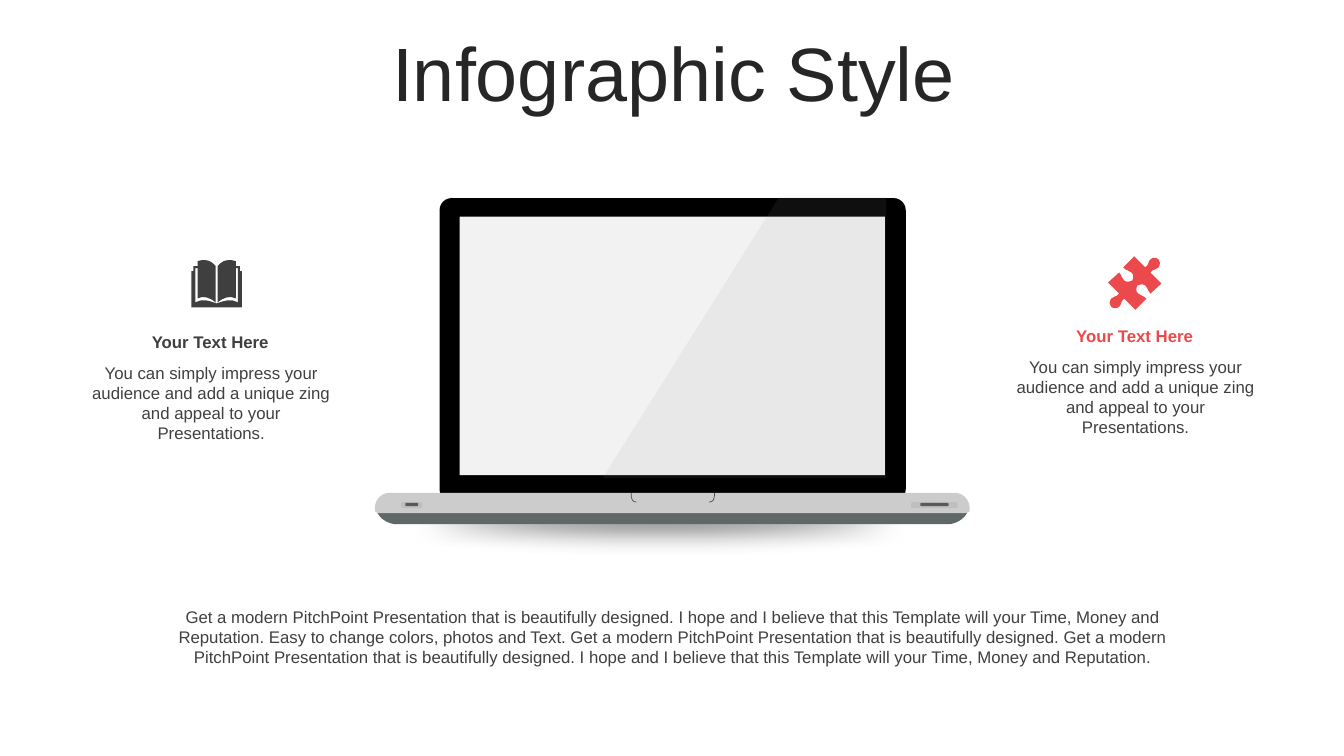
from dataclasses import dataclass

from lxml import etree
from pptx import Presentation
from pptx.dml.color import RGBColor
from pptx.enum import shapes, text
from pptx.oxml import ns
from pptx.util import Pt


@dataclass(frozen=True)
class Theme:
    font: str = "Arial"
    title_size: int = 54
    body_size: int = 12
    title: str = "262626"
    body: str = "404040"
    dark: str = "3F3F3F"
    accent: str = "EB494B"
    shadow: str = "808080"
    lid: str = "000000"
    screen: str = "F2F2F2"
    glare: str = "999999"
    base: str = "CCCCCC"
    underside: str = "5F6767"
    notch: str = "4D4D4D"
    slot_rim: str = "BFBFBF"
    slot: str = "595959"


def mirror(segments):
    return [tuple(-value if index % 2 == 0 else value for index, value in enumerate(segment))
            for segment in segments]


class Painter:
    def __init__(self, page, theme):
        self.page = page
        self.theme = theme

    def paint(self, shape, color):
        shape.shadow.inherit = False
        shape.fill.solid()
        shape.fill.fore_color.rgb = RGBColor.from_string(color)
        shape.line.fill.background()
        return shape

    def preset(self, kind, box, color, radius=None):
        shape = self.page.shapes.add_shape(kind, *map(Pt, box))
        if radius is not None:
            shape.adjustments[0] = radius
        return self.paint(shape, color)

    def outline(self, origin, segments, color, scale=1, mirrored=False, stroke=None):
        def place(segment):
            values = [Pt(origin[index % 2] + scale * value)
                      for index, value in enumerate(segment)]
            return list(zip(values[::2], values[1::2]))

        contours = [segments, mirror(segments)] if mirrored else [segments]
        placed = [[place(segment) for segment in contour] for contour in contours]
        builder = self.page.shapes.build_freeform(*placed[0][0][0], scale=1.0)
        for number, contour in enumerate(placed):
            if number:
                builder.move_to(*contour[0][0])
            builder.add_line_segments([part[-1] for part in contour[1:]], close=stroke is None)
        shape = self.paint(builder.convert_to_shape(), color)
        parts = [part for contour in placed for part in contour[1:]]
        self.bend(shape, parts)
        if stroke is not None:
            shape.fill.background()
            shape.line.color.rgb = RGBColor.from_string(color)
            shape.line.width = Pt(stroke)
        return shape

    def bend(self, shape, parts):
        lines = list(shape._element.iter(ns.qn("a:lnTo")))
        for line, part in zip(lines, parts):
            if len(part) == 3:
                line.tag = ns.qn("a:cubicBezTo")
                line.remove(line[0])
                for x, y in part:
                    etree.SubElement(line, ns.qn("a:pt"),
                                     x=str(x - shape.left), y=str(y - shape.top))

    def soften(self, shape, radius):
        effects = shape._element.spPr.find(ns.qn("a:effectLst"))
        etree.SubElement(effects, ns.qn("a:softEdge"), rad=str(Pt(radius)))

    def fade(self, shape, percent):
        color = shape._element.spPr.find(ns.qn("a:solidFill"))[0]
        etree.SubElement(color, ns.qn("a:alpha"), val=str(percent * 1000))

    def style(self, box, content, size, color, bold=False):
        frame = box.text_frame
        frame.word_wrap = True
        frame.text = content
        para = frame.paragraphs[0]
        para.alignment = text.PP_ALIGN.CENTER
        span = para.runs[0]
        span.font.name = self.theme.font
        span.font.size = Pt(size)
        span.font.bold = bold
        span.font.color.rgb = RGBColor.from_string(color)

    def title(self, content, box):
        holder = self.page.shapes.title
        holder.left, holder.top, holder.width, holder.height = map(Pt, box)
        self.style(holder, content, self.theme.title_size, self.theme.title)
        holder.text_frame.vertical_anchor = text.MSO_ANCHOR.MIDDLE
        holder.text_frame.auto_size = text.MSO_AUTO_SIZE.NONE
        holder.text_frame.paragraphs[0].line_spacing = 0.9

    def text_box(self, content, box, color, bold=False):
        shape = self.page.shapes.add_textbox(*map(Pt, box))
        self.style(shape, content, self.theme.body_size, color, bold)

    def caption(self, left, top, color):
        self.text_box("You can simply impress your audience and add a unique zing "
                      "and appeal to your Presentations.",
                      (left, top + 22, 189.4, 65.4), self.theme.body)
        self.text_box("Your Text Here", (left, top, 188, 21.8), color, bold=True)

    def laptop(self):
        theme, kinds = self.theme, shapes.MSO_SHAPE
        shadow = self.preset(kinds.OVAL, (223.2, 347, 495.4, 50.4), theme.shadow)
        self.soften(shadow, 17)
        hinge = (480.2, 352.1)
        self.outline(hinge, [(0, 11.5), (209, 11.5), (210.5, 14.4),
                             (206.6, 21.6, 198, 22.3, 198, 22.3), (0, 22.3)],
                     theme.underside, mirrored=True)
        self.preset(kinds.ROUNDED_RECTANGLE, (314, 141.5, 333, 216.5), theme.lid, 0.04)
        self.preset(kinds.RECTANGLE, (328.3, 154.8, 303.8, 184.6), theme.screen)
        self.outline(hinge, [(0, 0), (202, 0), (207.8, 0, 212.4, 5, 212.4, 10.8),
                             (212.4, 13), (212.4, 13.8, 211, 14.4, 209, 14.4), (0, 14.4)],
                     theme.base, mirrored=True)
        self.outline((480.6, 352.1), [(29.7, 0), (30, 5, 28.5, 6.5, 26, 6.5)],
                     theme.notch, mirrored=True, stroke=0.5)
        for left, width, inset in ((286.6, 15.1, 3), (650.9, 33.1, 6.5)):
            self.preset(kinds.ROUNDED_RECTANGLE, (left, 358.6, width, 4.3),
                        theme.slot_rim, 0.28)
            self.preset(kinds.ROUNDED_RECTANGLE, (left + inset, 359.3, width - 2 * inset, 2.2),
                        theme.slot, 0.28)
        glare = self.outline((430.6, 140.8), [(126, 0), (202.4, 0), (202.4, 200.5), (0, 200.5)],
                             theme.glare)
        self.fade(glare, 10)

    def book(self, origin):
        half = [(0, 47), (0, 43), (9, 40, 13, 38, 21, 42), (21, 8), (19, 8), (19, 38),
                (13, 35, 7, 37, 1, 42), (1, 6), (4, 2, 8, 0, 12, 0), (14, 0, 16, 0, 19, 1),
                (19, 6), (23, 6), (23, 11), (25, 11), (25, 47)]
        self.outline(origin, half, self.theme.dark, scale=0.72, mirrored=True)

    def puzzle(self, origin):
        half = [(23.5, -23.5), (25.5, -21.5, 25.5, -18.5, 23.5, -15.5),
                (21.5, -12.5, 18.5, -14.5, 15.5, -10.5), (26.5, 0.5), (15.5, 10.5),
                (12.5, 7.5, 13.5, 4.5, 10.5, 2.5), (8.5, 0.5, 4.5, 1.5, 2.5, 2.5),
                (1.5, 4.5, 0.5, 8.5, 3.5, 10.5), (6.5, 13.5, 7.5, 11.5, 11.5, 15.5),
                (0.5, 26.5), (-10.5, 15.5), (-14.5, 18.5, -12.5, 20.5, -15.5, 23.5),
                (-17.5, 25.5, -21.5, 25.5, -23.5, 23.5)]
        turned = [tuple(-value for value in segment) for segment in half[1:]]
        self.outline(origin, half + turned, self.theme.accent, scale=0.72)


def main():
    deck = Presentation()
    deck.slide_width, deck.slide_height = Pt(960), Pt(540)
    page = deck.slides.add_slide(deck.slide_layouts[5])
    theme = Theme()
    painter = Painter(page, theme)
    painter.laptop()
    painter.title("Infographic Style", (25.4, 26.6, 911.5, 56.9))
    painter.caption(56.2, 233.4, theme.dark)
    painter.caption(716.5, 229.1, theme.accent)
    painter.text_box(
        "Get a modern PitchPoint Presentation that is beautifully designed. I hope and I believe "
        "that this Template will your Time, Money and Reputation. Easy to change colors, photos "
        "and Text. Get a modern PitchPoint Presentation that is beautifully designed. Get a modern "
        "PitchPoint Presentation that is beautifully designed. I hope and I believe that this "
        "Template will your Time, Money and Reputation.",
        (111.6, 429.9, 738.7, 51.1), theme.body)
    painter.puzzle((810.6, 202.2))
    painter.book((154.8, 185.8))
    deck.save("out.pptx")


if __name__ == "__main__":
    main()
